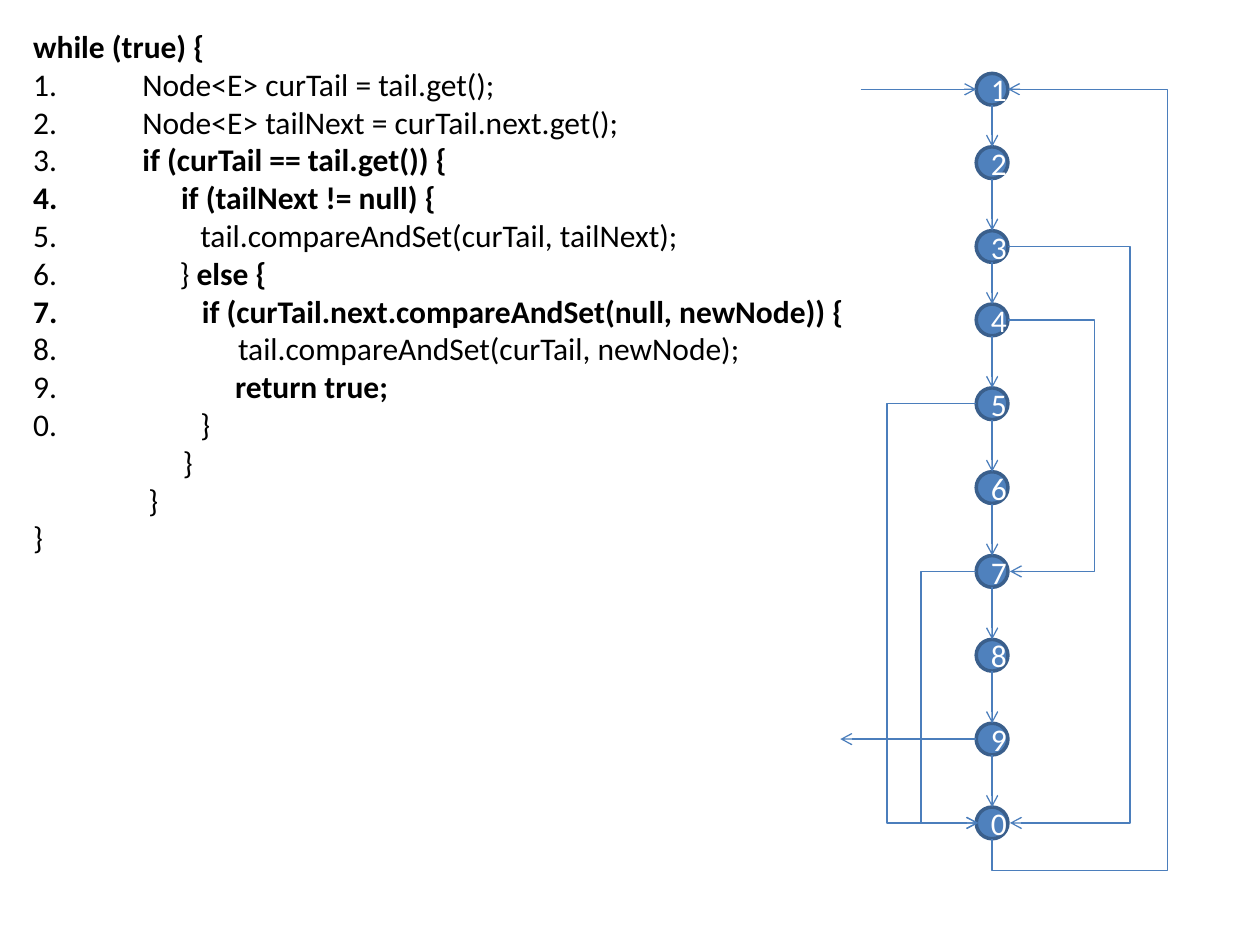
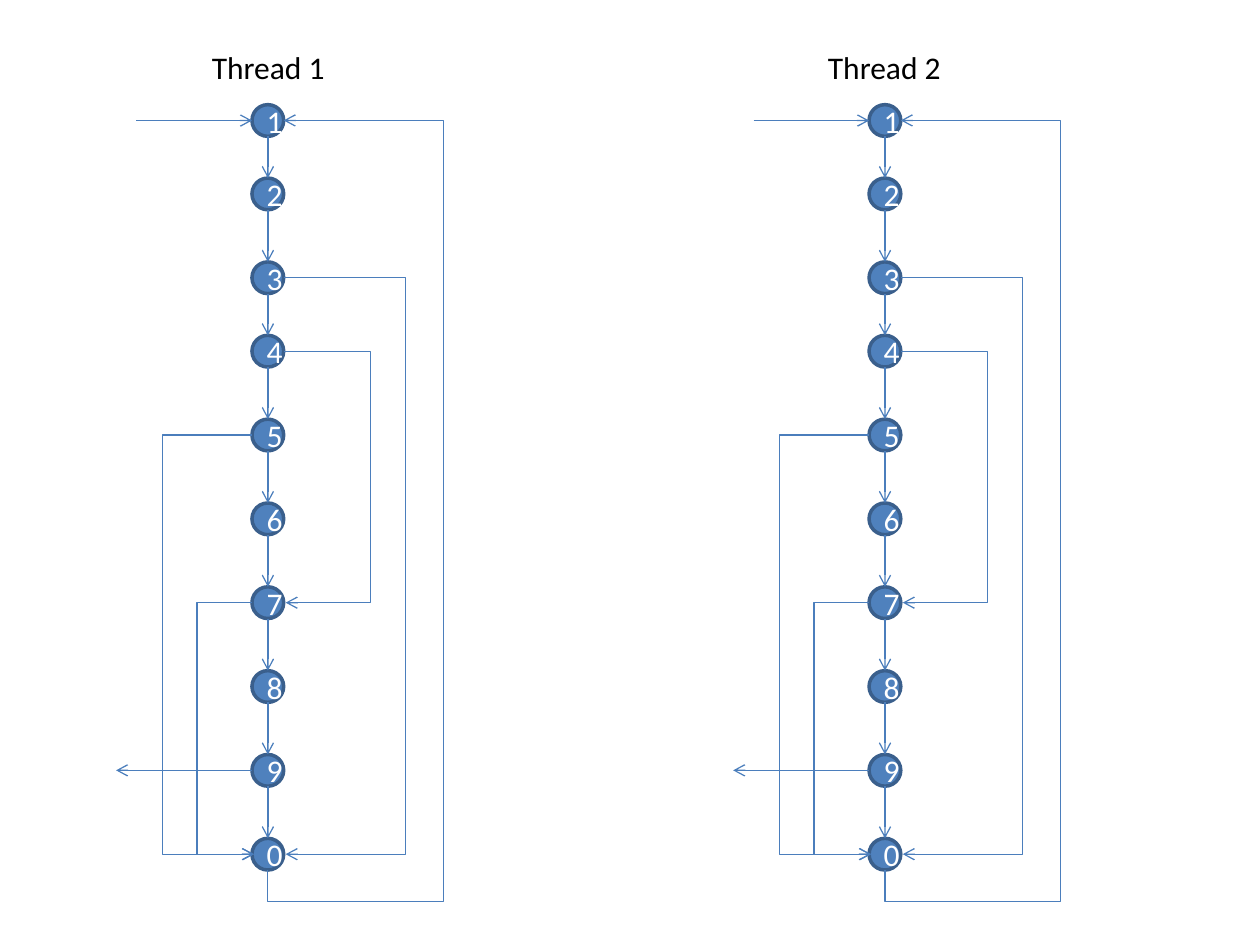
"""Build two slides: a lock-free enqueue loop and its control flow per thread."""
from dataclasses import dataclass
from itertools import accumulate

from lxml import etree
from pptx import Presentation
from pptx.dml.color import RGBColor
from pptx.enum.shapes import MSO_CONNECTOR, MSO_SHAPE
from pptx.enum.text import MSO_AUTO_SIZE, PP_ALIGN
from pptx.oxml.ns import qn
from pptx.util import Cm, Pt

ELLIPSE = MSO_SHAPE.OVAL
STRAIGHT = MSO_CONNECTOR.STRAIGHT
ELBOW = MSO_CONNECTOR.ELBOW
CENTER = PP_ALIGN.CENTER
FIT_SHAPE = MSO_AUTO_SIZE.SHAPE_TO_FIT_TEXT

COLORS = {"text": "000000", "node": "4F81BD", "node_line": "3A5F8C",
          "edge": "4B7EBC", "node_text": "FFFFFF"}
FONT = "Calibri"
FONT_SIZE = Pt(18)
BLANK_LAYOUT = 6

# Lengths in centimetres, measured from the centre of the first node.
NODE_SIZE = 0.64
RADIUS = NODE_SIZE / 2
SHORT_GAP, LONG_GAP = 1.48, 1.69
NODE_LABELS = "1234567890"
GAPS = [SHORT_GAP if label in "13" else LONG_GAP for label in NODE_LABELS[:-1]]
NODE_OFFSETS = dict(zip(NODE_LABELS, accumulate(GAPS, initial=0)))
ENTRY_LENGTH, EXIT_LENGTH = 2.65, 3.06
RETURN_LANE, RETURN_DROP = 3.54, 0.64
ELBOW_WIDTH = 0.04


@dataclass
class Jump:
    """A branch between two nodes; lane is the offset of its vertical part."""
    source: str
    target: str
    lane: float


@dataclass
class Graph:
    """A control flow graph, placed by the centre of its first node."""
    x: float
    y: float


@dataclass
class CodeLine:
    """A line of code: a plain part, a bold part and the indent of the code."""
    plain: str
    bold: str = ""
    indent: float = 0


JUMPS = [Jump("3", "0", 2.78), Jump("4", "7", 2.07),
         Jump("5", "0", -2.12), Jump("7", "0", -1.43)]

CODE = [
    CodeLine("", "while (true) {"),
    CodeLine("1.\tNode<E> curTail = tail.get();", indent=2.2),
    CodeLine("2.\tNode<E> tailNext = curTail.next.get();", indent=2.2),
    CodeLine("3.\t", "if (curTail == tail.get()) {", 2.2),
    CodeLine("", "4.\tif (tailNext != null) {", 2.98),
    CodeLine("5.\ttail.compareAndSet(curTail, tailNext);", indent=3.37),
    CodeLine("6.\t} ", "else {", 2.95),
    CodeLine("", "7.\tif (curTail.next.compareAndSet(null, newNode)) {", 3.4),
    CodeLine("8.\ttail.compareAndSet(curTail, newNode);", indent=4.13),
    CodeLine("9.\t", "return true;", 4.07),
    CodeLine("0.\t}", indent=3.37),
    CodeLine("}", indent=3.02),
    CodeLine("}", indent=2.32),
    CodeLine("}"),
]


def color(name: str) -> RGBColor:
    """Return a palette colour."""
    return RGBColor.from_string(COLORS[name])


def format_runs(paragraph, color_name: str) -> None:
    """Give all runs of a paragraph the shared font."""
    for run in paragraph.runs:
        run.font.name = FONT
        run.font.size = FONT_SIZE
        run.font.color.rgb = color(color_name)


def add_text_box(slide, left: float, top: float, width: float, height: float,
                 wrap: bool):
    """Add a text box that grows with its text and return its text frame."""
    box = slide.shapes.add_textbox(Cm(left), Cm(top), Cm(width), Cm(height))
    box.text_frame.word_wrap = wrap
    box.text_frame.auto_size = FIT_SHAPE
    return box.text_frame


def indent_code(paragraph, indent: float) -> None:
    """Indent by a tab stop after a line number, otherwise by the margin."""
    properties = paragraph._p.get_or_add_pPr()
    if "\t" in paragraph.text:
        tab_list = etree.SubElement(properties, qn("a:tabLst"))
        etree.SubElement(tab_list, qn("a:tab"), pos=str(Cm(indent)), algn="l")
    else:
        properties.set("marL", str(Cm(indent)))


def add_code(slide) -> None:
    """Write the numbered listing."""
    text_frame = add_text_box(slide, 0.42, 0.42, 17.3, 11.02, wrap=True)
    for index, line in enumerate(CODE):
        paragraph = text_frame.add_paragraph() if index else text_frame.paragraphs[0]
        for text, bold in ((line.plain, False), (line.bold, True)):
            if text:
                run = paragraph.add_run()
                run.text = text
                run.font.bold = bold
        format_runs(paragraph, "text")
        indent_code(paragraph, line.indent)


def add_thread_label(slide, text: str, left: float) -> None:
    """Write the name of a thread above its graph."""
    text_frame = add_text_box(slide, left, 0.85, 2.82, 1.02, wrap=False)
    text_frame.text = text
    format_runs(text_frame.paragraphs[0], "text")


def add_arrow(slide, kind, x1: float, y1: float, x2: float, y2: float):
    """Add a thin connector with an open arrowhead at its end."""
    arrow = slide.shapes.add_connector(kind, Cm(x1), Cm(y1), Cm(x2), Cm(y2))
    arrow.line.color.rgb = color("edge")
    arrow.line.width = Pt(0.75)
    properties = arrow.element.spPr
    etree.SubElement(properties.find(qn("a:ln")), qn("a:tailEnd"), type="arrow")
    etree.SubElement(properties, qn("a:effectLst"))
    return arrow


def set_bends(arrow, preset: str, *ratios: float) -> None:
    """Set the connector preset and its bends as ratios of its size."""
    geometry = arrow.element.spPr.find(qn("a:prstGeom"))
    geometry.set("prst", preset)
    for old_list in geometry.findall(qn("a:avLst")):
        geometry.remove(old_list)
    adjustments = etree.SubElement(geometry, qn("a:avLst"))
    for number, ratio in enumerate(ratios, start=1):
        etree.SubElement(adjustments, qn("a:gd"), name=f"adj{number}",
                         fmla=f"val {round(ratio * 100000)}")


def add_node(slide, label: str, x: float, y: float) -> None:
    """Draw a numbered circle around a centre."""
    node = slide.shapes.add_shape(ELLIPSE, Cm(x - RADIUS), Cm(y - RADIUS),
                                  Cm(NODE_SIZE), Cm(NODE_SIZE))
    node.shadow.inherit = False
    node.fill.solid()
    node.fill.fore_color.rgb = color("node")
    node.line.color.rgb = color("node_line")
    node.line.width = Pt(2)
    node.text_frame.text = label
    paragraph = node.text_frame.paragraphs[0]
    paragraph.alignment = CENTER
    format_runs(paragraph, "node_text")


def add_jump(slide, graph: Graph, jump: Jump) -> None:
    """Draw a branch that leaves and returns on the same side of the nodes."""
    side = RADIUS if jump.lane > 0 else -RADIUS
    start = graph.x + side
    arrow = add_arrow(slide, ELBOW, start, graph.y + NODE_OFFSETS[jump.source],
                      start + ELBOW_WIDTH, graph.y + NODE_OFFSETS[jump.target])
    set_bends(arrow, "bentConnector3", (jump.lane - side) / ELBOW_WIDTH)


def add_return(slide, graph: Graph) -> None:
    """Draw the loop from below the last node back to the first one."""
    bottom = graph.y + NODE_OFFSETS["0"] + RADIUS
    length, depth = bottom - graph.y, RADIUS
    left = graph.x + depth / 2 - length / 2
    top = graph.y + length / 2 - depth / 2
    arrow = add_arrow(slide, ELBOW, left, top, left + length, top + depth)
    set_bends(arrow, "bentConnector4", -RETURN_DROP / length, RETURN_LANE / depth)
    transform = arrow.element.spPr.find(qn("a:xfrm"))
    for name, value in (("rot", "5400000"), ("flipH", "1"), ("flipV", "1")):
        transform.set(name, value)


def add_graph(slide, graph: Graph) -> None:
    """Draw the nodes, the steps between them and all branches."""
    centers = [graph.y + offset for offset in NODE_OFFSETS.values()]
    for label, y in zip(NODE_LABELS, centers):
        add_node(slide, label, graph.x, y)
    for upper, lower in zip(centers, centers[1:]):
        add_arrow(slide, STRAIGHT, graph.x, upper + RADIUS, graph.x, lower - RADIUS)
    left = graph.x - RADIUS
    add_arrow(slide, STRAIGHT, graph.x - ENTRY_LENGTH, graph.y, left, graph.y)
    for jump in JUMPS:
        add_jump(slide, graph, jump)
    add_return(slide, graph)
    exit_y = graph.y + NODE_OFFSETS["9"]
    add_arrow(slide, STRAIGHT, left, exit_y, graph.x - EXIT_LENGTH, exit_y)


def main() -> None:
    """Build and save the presentation."""
    presentation = Presentation()
    presentation.slide_width, presentation.slide_height = Cm(25.4), Cm(19.05)
    layout = presentation.slide_layouts[BLANK_LAYOUT]

    code_slide = presentation.slides.add_slide(layout)
    add_code(code_slide)
    add_graph(code_slide, Graph(20, 1.8))

    thread_slide = presentation.slides.add_slide(layout)
    for text, x, label_left in (("Thread 1", 5.4, 4.02), ("Thread 2", 17.84, 16.44)):
        add_graph(thread_slide, Graph(x, 2.43))
        add_thread_label(thread_slide, text, label_left)

    presentation.save("out.pptx")


main()
